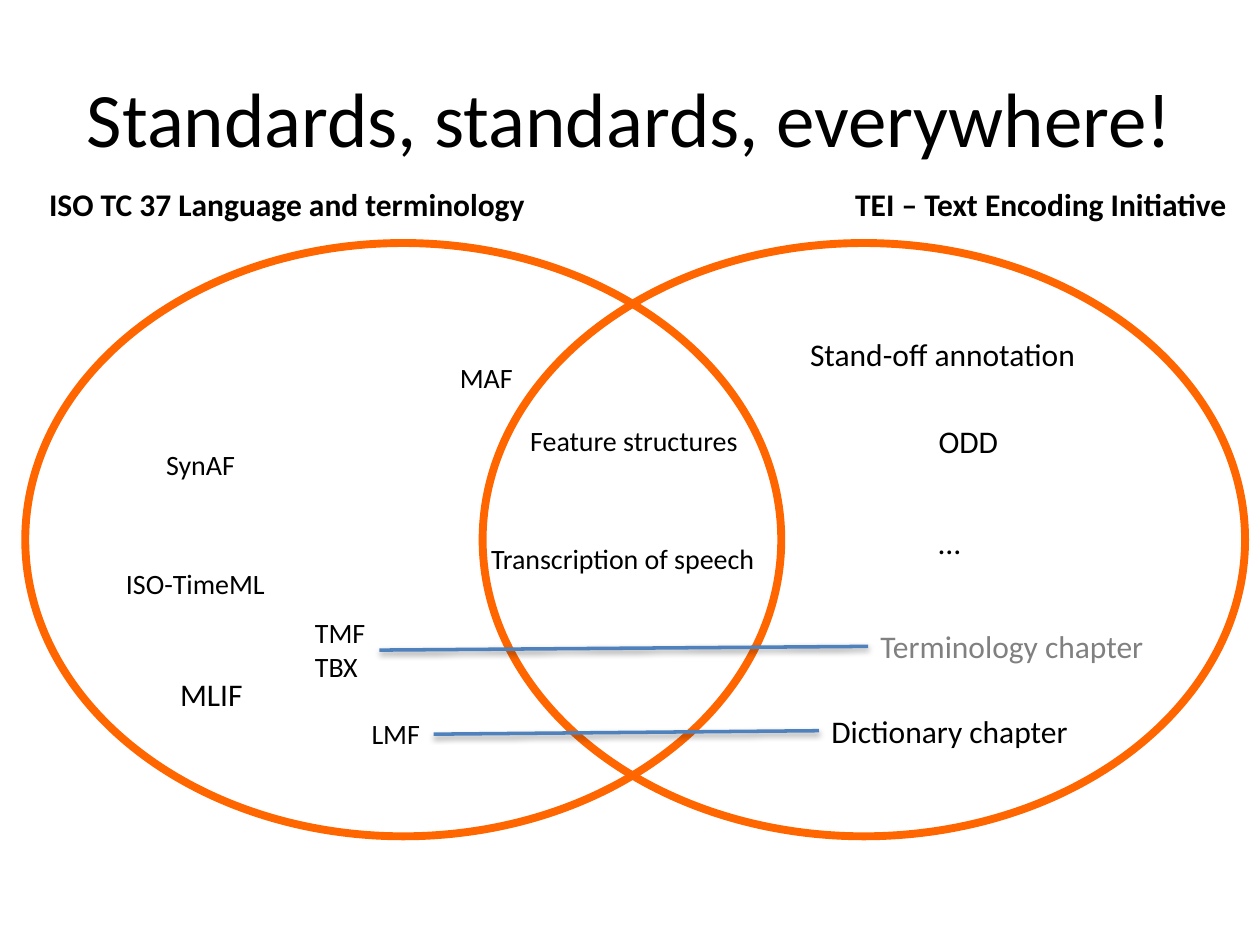
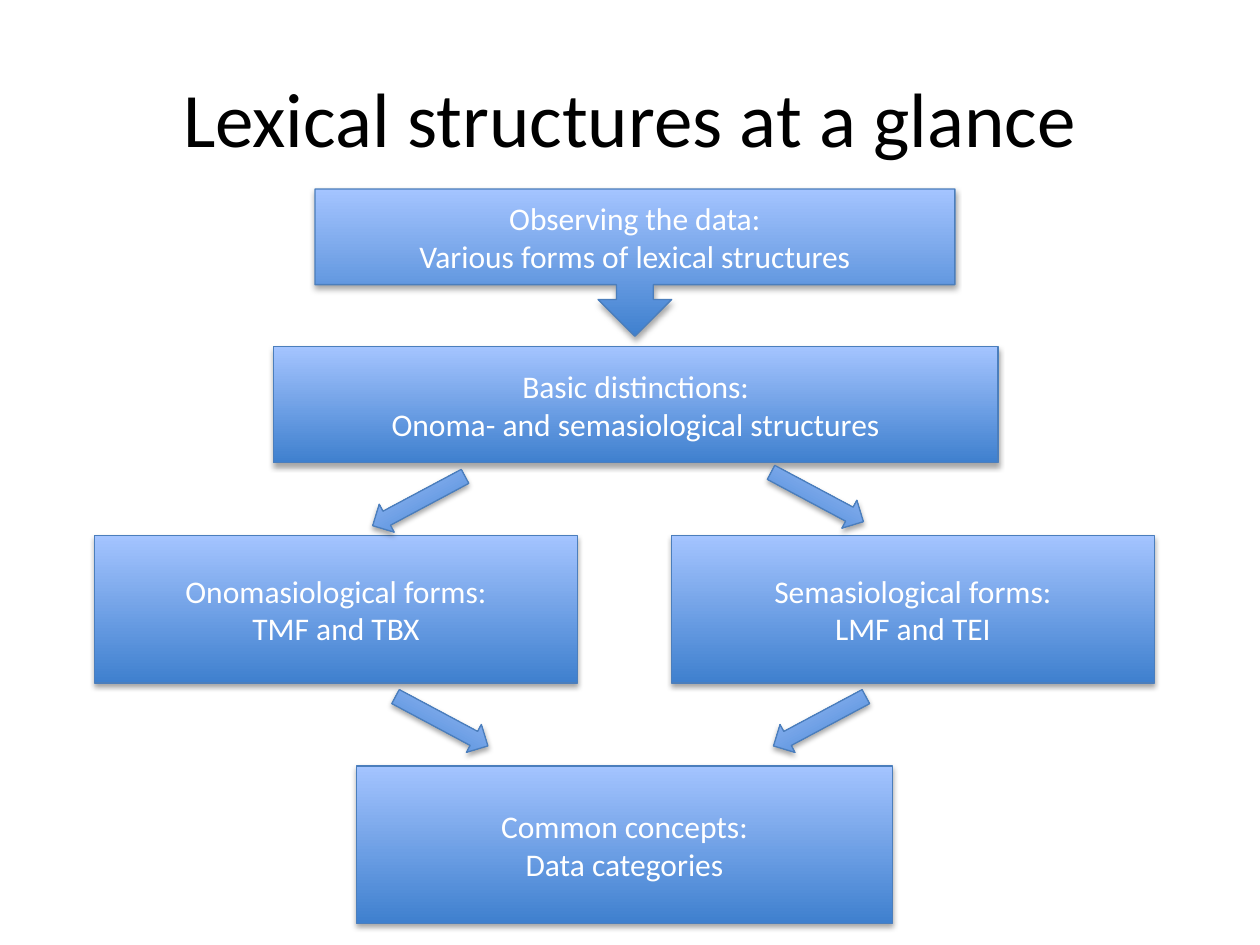
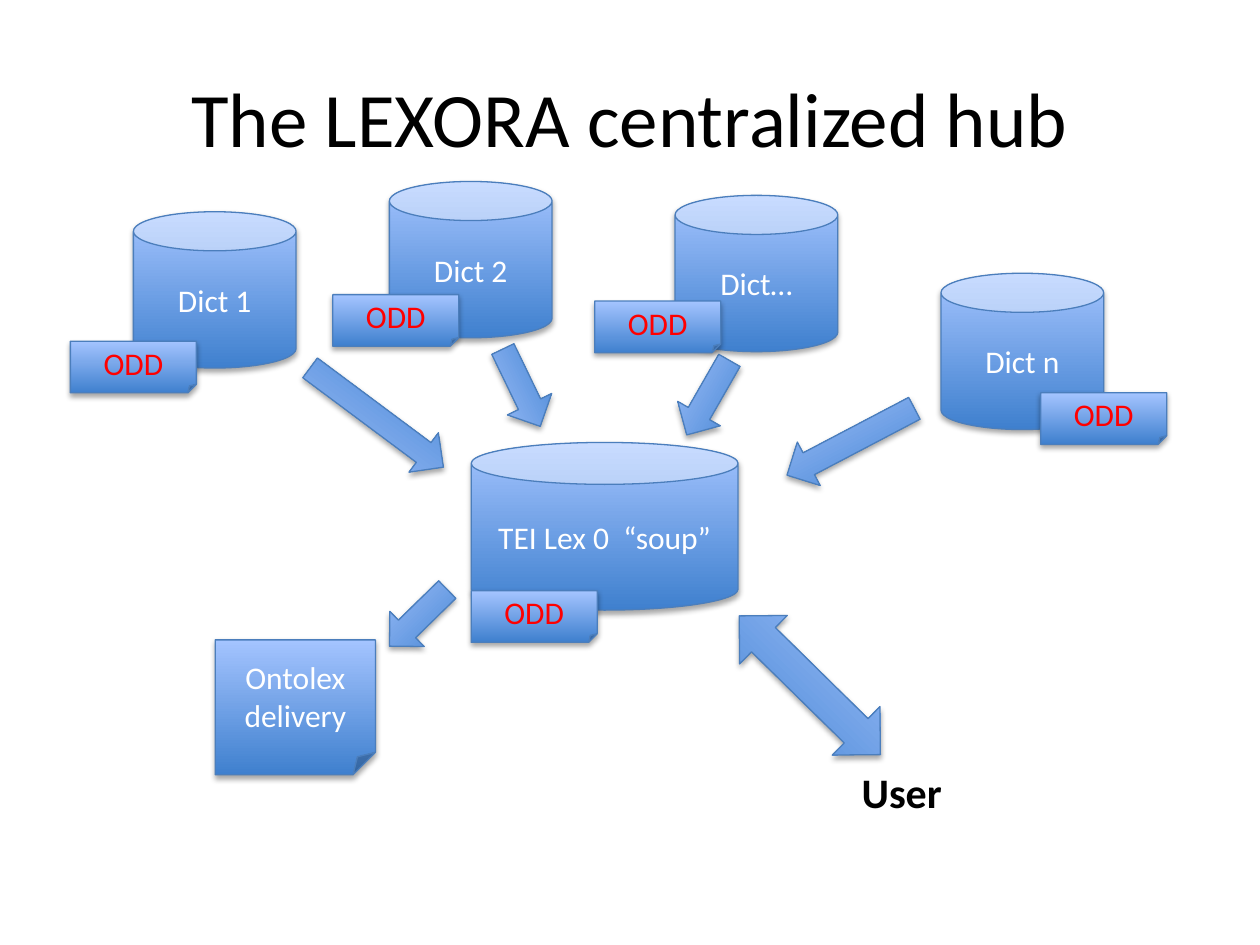
import pptx
import pptx.util
import pptx.oxml
import pptx.dml.color
import pptx.enum.shapes
import pptx.enum.text

Cm = pptx.util.Cm
Pt = pptx.util.Pt
color = pptx.dml.color.RGBColor.from_string
SHAPE = pptx.enum.shapes.MSO_SHAPE
ALIGN = pptx.enum.text.PP_ALIGN
MIDDLE = pptx.enum.text.MSO_ANCHOR.MIDDLE

FONT = "Calibri"
BLACK, WHITE, GRAY, RED, ORANGE = "000000", "FFFFFF", "808080", "FF0000", "FF6600"
DARK_BLUE, LIGHT_BLUE, EDGE_BLUE, LINE_BLUE = "3F80CE", "A4C4FF", "4B7EBC", "4F81BD"
SHADOW = (
    '<a:effectLst xmlns:a="http://schemas.openxmlformats.org/drawingml/2006/main">'
    '<a:outerShdw blurRad="40000" dist="{distance}" dir="5400000" rotWithShape="0">'
    '<a:srgbClr val="000000"><a:alpha val="{alpha}"/></a:srgbClr>'
    '</a:outerShdw></a:effectLst>'
)


def write(shape, text, size=18, text_color=BLACK, bold=False, align=ALIGN.LEFT):
    shape.text_frame.text = text
    for para in shape.text_frame.paragraphs:
        para.alignment = align
        for span in para.runs:
            span.font.name = FONT
            span.font.size = Pt(size)
            span.font.bold = bold
            span.font.color.rgb = color(text_color)


def add_block(page, kind, left, top, width, height, text="", text_color=WHITE, rotation=0):
    block = page.shapes.add_shape(kind, Cm(left), Cm(top), Cm(width), Cm(height))
    block.rotation = rotation
    block.fill.gradient()
    block.fill.gradient_angle = 90
    for stop, stop_color in zip(block.fill.gradient_stops, (DARK_BLUE, LIGHT_BLUE)):
        stop.color.rgb = color(stop_color)
    block.line.color.rgb = color(EDGE_BLUE)
    block.line.width = Pt(0.75)
    block._element.spPr.append(
        pptx.oxml.parse_xml(SHADOW.format(distance=23000, alpha=35000)))
    if text:
        block.text_frame.vertical_anchor = MIDDLE
        write(block, text, text_color=text_color, align=ALIGN.CENTER)


deck = pptx.Presentation()
deck.slide_width, deck.slide_height = Cm(25.4), Cm(19.05)

# Pages with their titles
pages = []
for title in ("Standards, standards, everywhere!",
              "Lexical structures at a glance",
              "The LEXORA centralized hub"):
    page = deck.slides.add_slide(deck.slide_layouts[6])
    box = page.shapes.add_textbox(Cm(1.27), Cm(0.76), Cm(22.86), Cm(3.18))
    box.text_frame.word_wrap = True
    box.text_frame.vertical_anchor = MIDDLE
    write(box, title, 44, align=ALIGN.CENTER)
    pages.append(page)
standards_page, structures_page, hub_page = pages

# Standards: two overlapping ellipses
for left, width in ((0.51, 15.24), (9.73, 15.37)):
    ellipse = standards_page.shapes.add_shape(
        SHAPE.OVAL, Cm(left), Cm(4.9), Cm(width), Cm(11.96))
    ellipse.shadow.inherit = False
    ellipse.fill.background()
    ellipse.line.color.rgb = color(ORANGE)
    ellipse.line.width = Pt(4.5)

# Standards: names of the standards
labels = {}
for text, left, top, width, height, size, text_color, bold in (
    ("ISO TC 37 Language and terminology", 0.74, 3.61, 10.19, 1.02, 18, BLACK, True),
    ("TEI – Text Encoding Initiative", 16.99, 3.61, 8.08, 1.02, 18, BLACK, True),
    ("MAF", 9.02, 7.14, 1.6, 0.94, 16, BLACK, False),
    ("SynAF", 3.1, 8.89, 1.91, 0.94, 16, BLACK, False),
    ("ISO-TimeML", 2.29, 11.3, 3.35, 0.94, 16, BLACK, False),
    ("LMF", 7.24, 14.33, 1.5, 0.94, 16, BLACK, False),
    ("Feature structures", 10.44, 8.41, 4.75, 0.94, 16, BLACK, False),
    ("Transcription of speech", 9.65, 10.8, 5.89, 0.94, 16, BLACK, False),
    ("Stand-off annotation", 16.08, 6.63, 5.94, 1.02, 18, BLACK, False),
    ("Dictionary chapter", 16.51, 14.22, 5.33, 1.02, 18, BLACK, False),
    ("TMF\nTBX", 6.1, 12.29, 1.55, 1.63, 16, BLACK, False),
    ("Terminology chapter", 17.5, 12.52, 5.87, 1.02, 18, GRAY, False),
    ("ODD", 18.67, 8.38, 1.73, 1.02, 18, BLACK, False),
    ("MLIF", 3.38, 13.49, 1.78, 1.02, 18, BLACK, False),
    ("…", 18.67, 10.41, 0.97, 1.02, 18, BLACK, False),
):
    box = standards_page.shapes.add_textbox(Cm(left), Cm(top), Cm(width), Cm(height))
    box.text_frame.word_wrap = False
    write(box, text, size, text_color, bold)
    labels[text] = box

# Standards: links between matching standards
for start, end in (("TMF\nTBX", "Terminology chapter"), ("LMF", "Dictionary chapter")):
    link = standards_page.shapes.add_connector(
        pptx.enum.shapes.MSO_CONNECTOR.STRAIGHT, 0, 0, 0, 0)
    link.begin_connect(labels[start], 3)
    link.end_connect(labels[end], 1)
    link.line.color.rgb = color(LINE_BLUE)
    link.line.width = Pt(2)
    link._element.spPr.append(
        pptx.oxml.parse_xml(SHADOW.format(distance=20000, alpha=38000)))

# Structures: steps from data to concepts
for kind, left, top, width, height, text in (
    (SHAPE.DOWN_ARROW_CALLOUT, 6.35, 3.81, 12.9, 2.97,
     "Observing the data:\nVarious forms of lexical structures"),
    (SHAPE.RECTANGLE, 5.51, 6.99, 14.61, 2.34,
     "Basic distinctions:\nOnoma- and semasiological structures"),
    (SHAPE.RECTANGLE, 1.91, 10.8, 9.73, 2.97, "Onomasiological forms:\nTMF and TBX"),
    (SHAPE.RECTANGLE, 13.54, 10.8, 9.73, 2.97, "Semasiological forms:\nLMF and TEI"),
    (SHAPE.RECTANGLE, 7.19, 15.44, 10.8, 3.18, "Common concepts:\nData categories"),
):
    add_block(structures_page, kind, left, top, width, height, text)

# Structures: slanted arrows between the steps
for kind, left, top, rotation in (
    (SHAPE.LEFT_ARROW, 7.39, 9.78, 331.9),
    (SHAPE.RIGHT_ARROW, 15.42, 9.7, 28.1),
    (SHAPE.RIGHT_ARROW, 7.85, 14.22, 28.1),
    (SHAPE.LEFT_ARROW, 15.47, 14.22, 331.9),
):
    add_block(structures_page, kind, left, top, 2.11, 0.64, rotation=rotation)

# Hub: central store, dictionaries and delivery
add_block(hub_page, SHAPE.CAN, 9.5, 8.92, 5.38, 3.38, "TEI Lex 0  “soup”")
for text, left, top in (("Dict 1", 2.69, 4.27), ("Dict 2", 7.85, 3.66),
                        ("Dict…", 13.61, 3.94), ("Dict n", 18.97, 5.51)):
    add_block(hub_page, SHAPE.CAN, left, top, 3.28, 3.15, text)
add_block(hub_page, SHAPE.FOLDED_CORNER, 4.34, 12.9, 3.23, 2.72, "Ontolex delivery")

user_box = hub_page.shapes.add_textbox(Cm(17.12), Cm(15.32), Cm(2.39), Cm(1.27))
user_box.text_frame.word_wrap = True
write(user_box, "User", 24, bold=True)

# Hub: arrows to and from the store
add_block(hub_page, SHAPE.LEFT_RIGHT_ARROW, 14.33, 13.13, 3.99, 1.37, rotation=44.5)
for left, top, width, rotation in (
    (7.62, 11.96, 1.63, 315.6),
    (15.7, 8.41, 2.9, 332.3),
    (5.92, 7.92, 3.35, 216.7),
    (9.65, 7.32, 1.73, 244.2),
    (13.41, 7.52, 1.73, 299.8),
):
    add_block(hub_page, SHAPE.LEFT_ARROW, left, top, width, 0.99, rotation=rotation)

# Hub: ODD tags on every store
for left, top in ((1.42, 6.88), (6.71, 5.94), (11.99, 6.07), (20.98, 7.92), (9.5, 11.91)):
    add_block(hub_page, SHAPE.FOLDED_CORNER, left, top, 2.54, 1.04, "ODD", RED)

deck.save("out.pptx")
